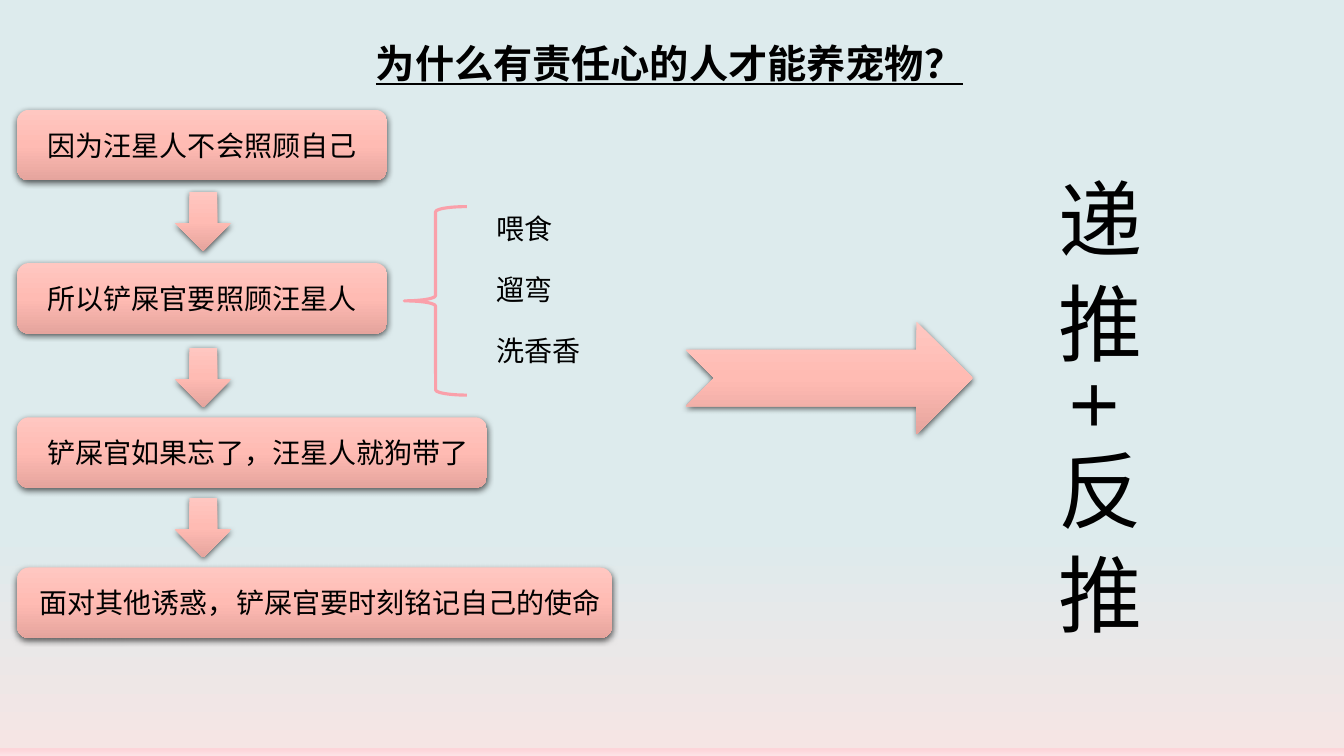
"""Build the slide on why only responsible people should keep pets."""
from lxml.etree import SubElement
from pptx import Presentation
from pptx.dml.color import RGBColor
from pptx.enum.shapes import MSO_SHAPE
from pptx.enum.text import MSO_ANCHOR
from pptx.oxml.ns import qn
from pptx.util import Inches, Pt

TITLE = "为什么有责任心的人才能养宠物？"
STEPS = [
    ("因为汪星人不会照顾自己", 1.09, 3.67, 0.27),
    ("所以铲屎官要照顾汪星人", 2.61, 3.67, 0.27),
    ("铲屎官如果忘了，汪星人就狗带了", 4.14, 4.66, 0.27),
    ("面对其他诱惑，铲屎官要时刻铭记自己的使命", 5.63, 5.9, 0.19),
]
ARROW_TOPS = [1.9, 3.45, 4.94]
DUTIES = ["喂食", "遛弯", "洗香香"]
STRUCTURE = "递 推 + 反 推"

BACKGROUND = [(70, "DDEBED"), (99, "F5E5E4"), (99, "FDD4D9"), (100, "FDE3E6")]
PINK = [(0, "FFC7C1"), (50, "FFBBB3"), (100, "E5A49D")]
BRACE_PINK = "FAA0AA"
BLACK = "000000"
HEADING_FONT = "Noto Sans CJK JP"
BODY_FONT = "Noto Sans CJK SC"


def color(value):
    return RGBColor.from_string(value)


def set_gradient(fill, element, stops):
    fill.gradient()
    fill.gradient_angle = 270
    stop_list = element.find(".//" + qn("a:gsLst"))
    for old_stop in list(stop_list):
        stop_list.remove(old_stop)
    for percent, value in stops:
        stop = SubElement(stop_list, qn("a:gs"), pos=str(percent * 1000))
        SubElement(stop, qn("a:srgbClr"), val=value)


def add_pink_shape(page, kind, left, top, width, height):
    shape = page.shapes.add_shape(
        kind, Inches(left), Inches(top), Inches(width), Inches(height))
    set_gradient(shape.fill, shape._element.spPr, PINK)
    shape.line.fill.background()
    shape.shadow.inherit = False
    effects = shape._element.spPr.find(qn("a:effectLst"))
    shadow = SubElement(
        effects, qn("a:outerShdw"), blurRad=str(Pt(4.5)), dist=str(Pt(1.5)),
        dir="5400000", algn="ctr", rotWithShape="0")
    shade = SubElement(shadow, qn("a:srgbClr"), val=BLACK)
    SubElement(shade, qn("a:alpha"), val="63000")
    return shape


def add_frame(page, left, top, width, height, wrap=True):
    box = page.shapes.add_textbox(
        Inches(left), Inches(top), Inches(width), Inches(height))
    box.text_frame.word_wrap = wrap
    return box.text_frame


def write(para, text, size=20, name=BODY_FONT):
    para.alignment = 1
    span = para.add_run()
    span.text = text
    span.font.size = Pt(size)
    span.font.name = name
    span.font.color.rgb = color(BLACK)
    SubElement(span.font._element, qn("a:ea"), typeface=name)
    return span


def main():
    deck = Presentation()
    deck.slide_width, deck.slide_height = Inches(13.33), Inches(7.5)
    page = deck.slides.add_slide(deck.slide_layouts[6])
    set_gradient(page.background.fill, page._element, BACKGROUND)

    title_frame = add_frame(page, 3.63, 0.34, 6.06, 0.66, wrap=False)
    title = write(title_frame.paragraphs[0], TITLE, 28, HEADING_FONT)
    title.font.bold = title.font.underline = True

    for text, top, width, inset in STEPS:
        step = add_pink_shape(
            page, MSO_SHAPE.ROUNDED_RECTANGLE, 0.17, top, width, 0.7)
        frame = step.text_frame
        frame.word_wrap = False
        frame.margin_left, frame.margin_right = Inches(inset), 0
        frame.vertical_anchor = MSO_ANCHOR.MIDDLE
        write(frame.paragraphs[0], text)

    for top in ARROW_TOPS:
        add_pink_shape(page, MSO_SHAPE.DOWN_ARROW, 1.74, top, 0.55, 0.59)

    brace = page.shapes.add_shape(
        MSO_SHAPE.LEFT_BRACE, Inches(4.01), Inches(2.05), Inches(0.62), Inches(1.87))
    brace.fill.background()
    brace.line.color.rgb = color(BRACE_PINK)
    brace.line.width = Pt(2.25)
    brace.shadow.inherit = False

    duty_frame = add_frame(page, 4.83, 2.05, 1.72, 1.85)
    for index, duty in enumerate(DUTIES):
        para = duty_frame.add_paragraph() if index else duty_frame.paragraphs[0]
        if index:
            para.space_before = Pt(19.6)
        write(para, duty)

    structure_frame = add_frame(page, 10.22, 1.66, 1.21, 5)
    structure_frame._txBody.bodyPr.set("vert", "eaVert")
    para = structure_frame.paragraphs[0]
    para.line_spacing = Pt(72)
    write(para, STRUCTURE, 60, HEADING_FONT)

    add_pink_shape(page, MSO_SHAPE.NOTCHED_RIGHT_ARROW, 6.8, 3.19, 2.85, 1.12)
    deck.save("out.pptx")


if __name__ == "__main__":
    main()
